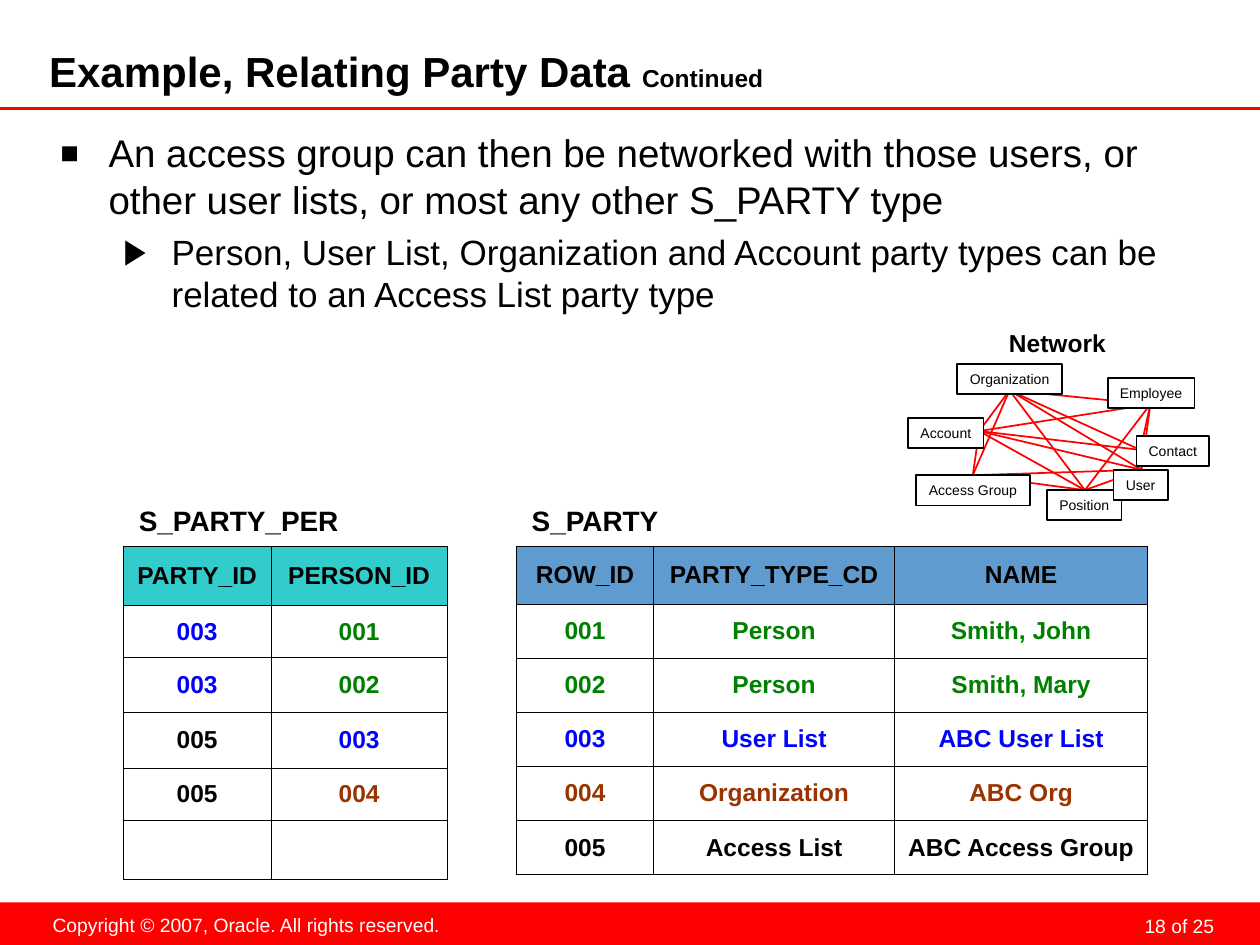
from dataclasses import dataclass
from itertools import combinations

from lxml import etree
from pptx import Presentation
from pptx import util as u
from pptx.dml.color import RGBColor
from pptx.enum import shapes, text
from pptx.oxml.ns import qn

RED, BLACK, WHITE = "FF0000", "000000", "FFFFFF"
ID_COLORS = {"001": "008000", "002": "008000", "003": "0000FF", "004": "993300", "005": BLACK}
LEFT, CENTER, RIGHT = text.PP_ALIGN.LEFT, text.PP_ALIGN.CENTER, text.PP_ALIGN.RIGHT
MIDDLE = text.MSO_ANCHOR.MIDDLE


@dataclass
class Node:
    name: str
    left: float
    top: float
    width: float
    hub: tuple[float, float]  # where its links meet


@dataclass
class Grid:
    left: float
    header_fill: str
    cols: list[float]
    heights: list[float]
    rows: list[list[str]]


def rgb(color: str) -> RGBColor:
    return RGBColor.from_string(color)


def write(p, content: str, *, size: float, color=BLACK, bold=False, align=LEFT):
    """Add one formatted run to a paragraph."""
    p.alignment = align
    r = p.add_run()
    r.text = content
    r.font.name, r.font.size, r.font.bold = "Arial", u.Pt(size), bold
    r.font.color.rgb = rgb(color)
    return p


def box(s, at, content: str, wrap=True, margins=None, **fmt):
    """Add a text box holding one paragraph."""
    tf = s.shapes.add_textbox(*map(u.Cm, at)).text_frame
    tf.word_wrap = wrap
    if margins:
        set_margins(tf, *margins)
    return write(tf.paragraphs[0], content, **fmt)


def set_margins(tf, left: float, top: float, right: float, bottom: float) -> None:
    tf.margin_left, tf.margin_top = u.Cm(left), u.Cm(top)
    tf.margin_right, tf.margin_bottom = u.Cm(right), u.Cm(bottom)


def rect(parent, at, fill: str, line=None):
    sp = parent.shapes.add_shape(shapes.MSO_SHAPE.RECTANGLE, *map(u.Cm, at))
    sp.shadow.inherit = False
    sp.fill.solid()
    sp.fill.fore_color.rgb = rgb(fill)
    if line:
        sp.line.color.rgb, sp.line.width = rgb(line), u.Pt(1)
    else:
        sp.line.fill.background()
    return sp


def line(parent, start, end, width: float) -> None:
    cx = parent.shapes.add_connector(shapes.MSO_CONNECTOR.STRAIGHT, *map(u.Cm, (*start, *end)))
    cx.line.color.rgb, cx.line.width = rgb(RED), u.Pt(width)
    etree.SubElement(cx._element.spPr, qn("a:effectLst"))


def bullet(p, char: str, left: float, percent: int) -> None:
    pPr = p._p.get_or_add_pPr()
    pPr.set("marL", str(u.Cm(left)))
    pPr.set("indent", str(-u.Cm(0.97)))
    color = etree.SubElement(pPr, qn("a:buClr"))
    etree.SubElement(color, qn("a:srgbClr"), val=BLACK)
    etree.SubElement(pPr, qn("a:buSzPct"), val=str(percent * 1000))
    etree.SubElement(pPr, qn("a:buFont"), typeface="Arial")
    etree.SubElement(pPr, qn("a:buChar"), char=char)


def border(cell) -> None:
    tcPr = cell._tc.get_or_add_tcPr()
    for i, side in enumerate(("lnL", "lnR", "lnT", "lnB")):
        ln = etree.Element(qn(f"a:{side}"), w=str(u.Pt(0.45)))
        fill = etree.SubElement(ln, qn("a:solidFill"))
        etree.SubElement(fill, qn("a:srgbClr"), val=BLACK)
        tcPr.insert(i, ln)


def draw_grid(s, g: Grid) -> None:
    frame = s.shapes.add_table(len(g.rows), len(g.cols), u.Cm(g.left), u.Cm(11.02),
                               u.Cm(sum(g.cols)), u.Cm(sum(g.heights)))
    table = frame.table
    table.first_row = table.horz_banding = False
    for col, width in zip(table.columns, g.cols):
        col.width = u.Cm(width)
    for i, (row, height) in enumerate(zip(g.rows, g.heights)):
        table.rows[i].height = u.Cm(height)
        for j, value in enumerate(row):
            cell = table.cell(i, j)
            cell.vertical_anchor = MIDDLE
            if i == 0:
                cell.fill.solid()
                cell.fill.fore_color.rgb = rgb(g.header_fill)
            else:
                cell.fill.background()
            border(cell)
            if value:
                # An ID has its own colour; other values take that of the row's ID
                color = ID_COLORS.get(value, ID_COLORS.get(row[0], BLACK))
                write(cell.text_frame.paragraphs[0], value, size=14, bold=True,
                      color=color, align=CENTER)


def draw_network(s, nodes: list[Node], unlinked: set[frozenset[str]]) -> None:
    group = s.shapes.add_group_shape()
    for a, b in combinations(nodes, 2):
        if frozenset((a.name, b.name)) not in unlinked:
            line(group, a.hub, b.hub, 1)
    for n in nodes:
        tf = rect(group, (n.left, n.top, n.width, 0.61), WHITE, BLACK).text_frame
        tf.word_wrap = False
        write(tf.paragraphs[0], n.name, size=8, align=CENTER)


NODES = [
    Node("Employee", 22.33, 7.62, 1.75, (23.19, 8.15)),
    Node("Position", 21.11, 9.88, 1.5, (21.87, 9.88)),
    Node("Organization", 19.3, 7.34, 2.11, (20.35, 7.87)),
    Node("Contact", 22.91, 8.79, 1.47, (22.99, 9.07)),
    Node("Account", 18.31, 8.43, 1.52, (19.74, 8.69)),
    Node("Access Group", 18.47, 9.58, 2.29, (19.61, 9.58)),
    Node("User", 22.45, 9.47, 1.09, (23.01, 9.47)),
]
UNLINKED = {frozenset(pair) for pair in (
    ("Employee", "Access Group"), ("Contact", "Access Group"), ("Contact", "Position"))}

GRIDS = [
    Grid(2.49, "33CCCC", [2.97, 3.56], [1.19, 1.05, 1.11, 1.11, 1.05, 1.19],
         [["PARTY_ID", "PERSON_ID"], ["003", "001"], ["003", "002"],
          ["005", "003"], ["005", "004"], ["", ""]]),
    Grid(10.41, "5F9BCF", [2.77, 4.85, 5.11], [1.16] + [1.09] * 5,
         [["ROW_ID", "PARTY_TYPE_CD", "NAME"],
          ["001", "Person", "Smith, John"],
          ["002", "Person", "Smith, Mary"],
          ["003", "User List", "ABC User List"],
          ["004", "Organization", "ABC Org"],
          ["005", "Access List", "ABC Access Group"]]),
]


def main() -> None:
    prs = Presentation()
    prs.slide_width, prs.slide_height = u.Cm(25.4), u.Cm(19.05)
    s = prs.slides.add_slide(prs.slide_layouts[5])

    # Footer and title rule
    rect(s, (0, 18.19, 25.4, 0.86), RED)
    p = box(s, (18.69, 18.26, 5.92, 0.64), "18 of 25", margins=(0.13, 0, 0.13, 0),
            size=11, color=WHITE, align=RIGHT)
    p.line_spacing = u.Pt(18)
    box(s, (0.79, 18.29, 8.36, 0.74), "Copyright © 2007, Oracle. All rights reserved.",
        wrap=False, size=11, color=WHITE, align=CENTER)
    line(s, (0, 2.19), (25.4, 2.19), 1.75)

    # Title
    title = s.shapes.title
    title.left, title.top, title.width, title.height = map(u.Cm, (0.99, 0.97, 19.99, 1.02))
    tf = title.text_frame
    tf.auto_size, tf.vertical_anchor = text.MSO_AUTO_SIZE.NONE, MIDDLE
    set_margins(tf, 0, 0, 0.13, 0.13)
    write(tf.paragraphs[0], "Example, Relating Party Data ", size=24, bold=True)
    write(tf.paragraphs[0], "Continued", size=14, bold=True)

    # Bullets
    tf = s.shapes.add_textbox(*map(u.Cm, (0.97, 2.36, 23.62, 15.6))).text_frame
    tf.word_wrap = True
    set_margins(tf, 0.25, 0.25, 0.25, 0.13)
    p = tf.paragraphs[0]
    bullet(p, "■", 0.97, 80)
    write(p, "An access group can then be networked with those users, or other user lists, "
          "or most any other S_PARTY type", size=22)
    p = tf.add_paragraph()
    p.level = 1
    bullet(p, "▶", 2.24, 100)
    p.space_before = u.Pt(5)
    write(p, "Person, User List, Organization and Account party types can be related "
          "to an Access List party type", size=20)

    # Tables with their names
    for g, name in zip(GRIDS, ("S_PARTY_PER", "S_PARTY")):
        draw_grid(s, g)
        box(s, (g.left + 0.06, 10.03, 4.65, 0.94), name, size=16, bold=True)

    # Network diagram
    draw_network(s, NODES, UNLINKED)
    box(s, (20.09, 6.48, 3.05, 0.86), "Network", size=14, bold=True)

    prs.save("out.pptx")


if __name__ == "__main__":
    main()
